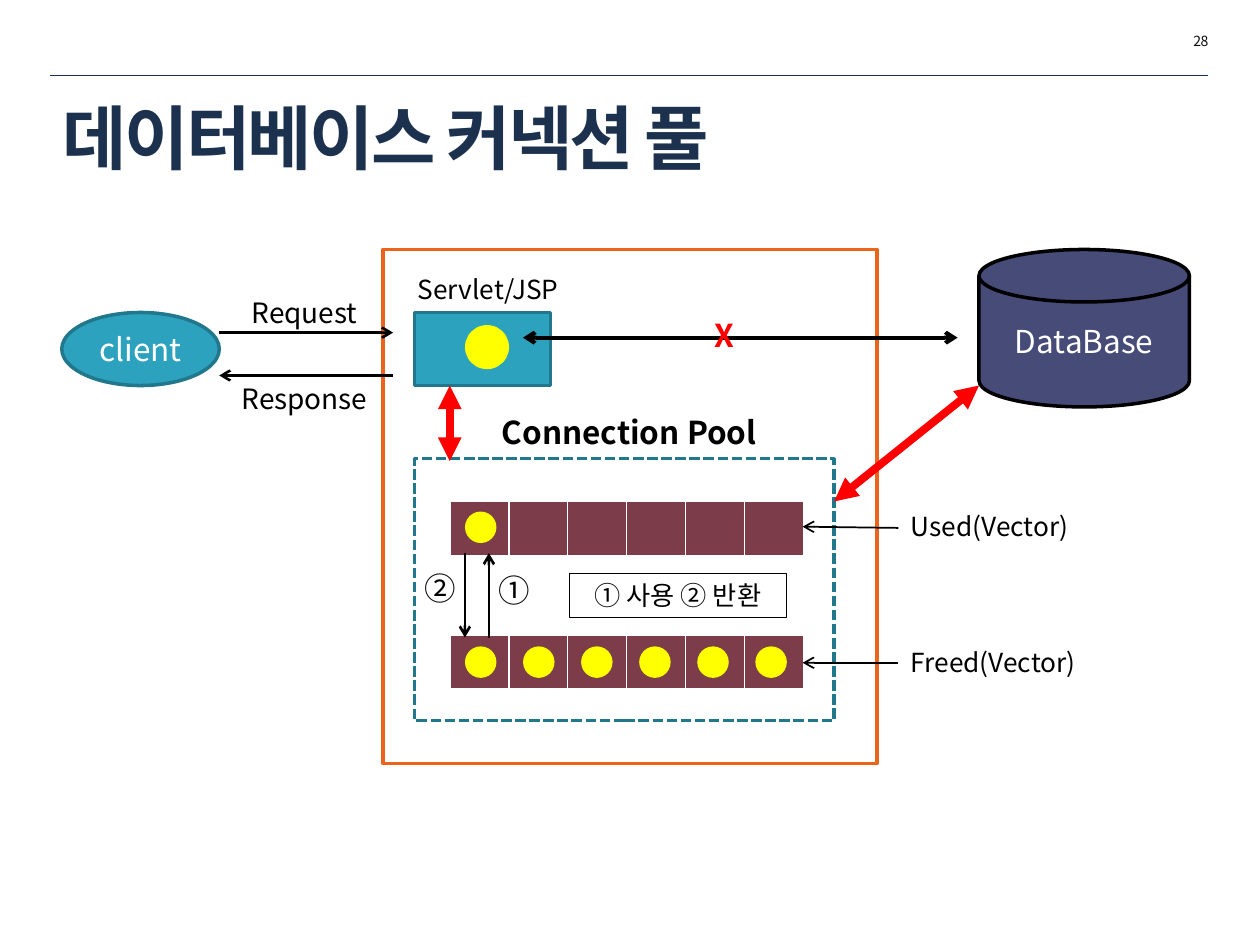
from lxml.etree import SubElement
from pptx import Presentation
from pptx.dml.color import RGBColor
from pptx.enum.dml import MSO_LINE
from pptx.enum.shapes import MSO_CONNECTOR, MSO_SHAPE
from pptx.enum.text import MSO_ANCHOR, MSO_AUTO_SIZE, PP_ALIGN
from pptx.oxml import parse_xml
from pptx.oxml.ns import nsdecls, qn
from pptx.util import Inches, Pt

FONT = "Noto Sans CJK KR"
BLACK, WHITE, RED, YELLOW = "000000", "FFFFFF", "FF0000", "FFFF00"
NAVY, TEAL, TEAL_EDGE, WINE = "1C314E", "2DA2BF", "21788D", "7D3C4A"
LEFT, CENTER, RIGHT = PP_ALIGN.LEFT, PP_ALIGN.CENTER, PP_ALIGN.RIGHT


def paint(fill, color):
    """Fill an area, a line or a font with a hex colour; None clears it."""
    if color is None:
        fill.background()
    else:
        fill.solid()
        fill.fore_color.rgb = RGBColor.from_string(color)


def write(shape, text, size=15, color=BLACK, bold=False, align=LEFT,
          anchor=MSO_ANCHOR.TOP, wrap=True, grow=True, spacing=0):
    frame = shape.text_frame
    frame.word_wrap = wrap
    frame.vertical_anchor = anchor
    frame.auto_size = MSO_AUTO_SIZE.SHAPE_TO_FIT_TEXT if grow else MSO_AUTO_SIZE.NONE
    paragraph = frame.paragraphs[0]
    paragraph.alignment = align
    run = paragraph.add_run()
    run.text = text
    run.font.size = Pt(size)
    run.font.bold = bold
    run.font.name = FONT
    paint(run.font.fill, color)
    properties = run.font._element
    SubElement(properties, qn("a:ea")).set("typeface", FONT)
    if spacing:
        properties.set("spc", str(spacing))


deck = Presentation()
deck.slide_width, deck.slide_height = Inches(10), Inches(7.5)
slide = deck.slides.add_slide(deck.slide_layouts[6])

# Grid of 100 columns by 75 rows
COL = deck.slide_width / 100
ROW = deck.slide_height / 75

# Outlined parts: server frame, servlet, database, pool, client, legend
inside = dict(size=18, color=WHITE, align=CENTER, anchor=MSO_ANCHOR.MIDDLE, grow=False)
parts = [
    (MSO_SHAPE.RECTANGLE, 30.4, 19.8, 39.2, 40.8, WHITE, "EB641B", 2, None, "", {}),
    (MSO_SHAPE.RECTANGLE, 32.9, 24.8, 10.8, 5.8, TEAL, TEAL_EDGE, 2, None, "", {}),
    (MSO_SHAPE.FLOWCHART_MAGNETIC_DISK, 77.7, 19.8, 16.7, 12.5, "474B78", BLACK, 2,
     None, "DataBase", inside),
    (MSO_SHAPE.RECTANGLE, 32.9, 36.4, 33.3, 20.8, None, TEAL_EDGE, 2,
     MSO_LINE.SQUARE_DOT, "", {}),
    (MSO_SHAPE.OVAL, 4.9, 24.8, 12.5, 5.8, TEAL, TEAL_EDGE, 2, None, "client", inside),
    (MSO_SHAPE.RECTANGLE, 45.2, 45.5, 17.2, 3.5, None, BLACK, 0.75, None,
     "① 사용 ② 반환", dict(align=CENTER)),
]
for kind, x, y, w, h, fill, edge, weight, dash, text, style in parts:
    part = slide.shapes.add_shape(kind, int(x * COL), int(y * ROW), int(w * COL), int(h * ROW))
    part.shadow.inherit = False
    paint(part.fill, fill)
    paint(part.line.fill, edge)
    part.line.width = Pt(weight)
    if dash:
        part.line.dash_style = dash
    if text:
        write(part, text, **style)

# Used and freed vectors
SLOTS, SLOT_WIDTH, SLOT_HEIGHT = 6, 4.68, 4.4
VECTOR_LEFT, USED_TOP, FREED_TOP = 35.7, 39.8, 50.4
for top in (USED_TOP, FREED_TOP):
    vector = slide.shapes.add_table(
        1, SLOTS, int(VECTOR_LEFT * COL), int(top * ROW),
        int(SLOTS * SLOT_WIDTH * COL), int(SLOT_HEIGHT * ROW)).table
    vector.first_row = vector.horz_banding = False
    for slot in vector.iter_cells():
        slot.margin_top = slot.margin_bottom = 0
        paint(slot.fill, WINE)
        for position, (side, weight) in enumerate(zip("LRTB", (1, 1, 1, 3))):
            slot._tc.get_or_add_tcPr().insert(position, parse_xml(
                f'<a:ln{side} {nsdecls("a")} w="{Pt(weight)}"><a:solidFill>'
                f'<a:srgbClr val="{WHITE}"/></a:solidFill></a:ln{side}>'))

# Connections: one in the servlet, one used, six freed
connections = [(36.9, 25.8, 3.5), (36.9, 40.6, 2.5)]
connections += [(36.9 + 4.61 * slot, 51.3, 2.5) for slot in range(SLOTS)]
for x, y, size in connections:
    connection = slide.shapes.add_shape(
        MSO_SHAPE.OVAL, int(x * COL), int(y * ROW), int(size * COL), int(size * ROW))
    connection.shadow.inherit = False
    paint(connection.fill, YELLOW)
    paint(connection.line.fill, None)

# Rule under the page number, then the arrows
one_way = {"tailEnd": "arrow"}
both_ways = {"headEnd": "arrow", "tailEnd": "arrow"}
solid_both_ways = {"headEnd": "triangle", "tailEnd": "triangle"}
lines = [
    (4, 6, 95.9, 6, NAVY, 0.25, {}),
    (17.4, 26.4, 31.2, 26.4, BLACK, 1.5, one_way),
    (31.2, 29.8, 17.4, 29.8, BLACK, 1.5, one_way),
    (41.5, 26.8, 76, 26.8, BLACK, 2.25, both_ways),
    (38.8, 50.6, 38.8, 43.9, BLACK, 1.5, one_way),
    (36.9, 43.9, 36.9, 50.6, BLACK, 1.5, one_way),
    (71.3, 41.9, 63.7, 41.8, BLACK, 1, one_way),
    (71.3, 52.6, 63.7, 52.6, BLACK, 1, one_way),
    (35.7, 30.6, 35.7, 36.6, RED, 4.5, solid_both_ways),
    (66.2, 39.8, 77.7, 30.6, RED, 4.5, solid_both_ways),
]
for x1, y1, x2, y2, color, weight, ends in lines:
    arrow = slide.shapes.add_connector(
        MSO_CONNECTOR.STRAIGHT, int(x1 * COL), int(y1 * ROW), int(x2 * COL), int(y2 * ROW))
    paint(arrow.line.fill, color)
    arrow.line.width = Pt(weight)
    for end, head in ends.items():
        SubElement(arrow.line._get_or_add_ln(), qn(f"a:{end}")).set("type", head)
    SubElement(arrow._element.spPr, qn("a:effectLst"))

# Title, page number and labels
labels = [
    (4, 6.2, 91.8, 9.3, "데이터베이스 커넥션 풀",
     dict(size=40, color=NAVY, bold=True, anchor=MSO_ANCHOR.MIDDLE, grow=False, spacing=-150)),
    (79.6, 2.1, 17.3, 2.4, "28", dict(size=8, color="0D0D0D", align=RIGHT, spacing=-30)),
    (32.1, 21.2, 13.3, 3.5, "Servlet/JSP", dict(align=CENTER)),
    (30.3, 32.3, 39.3, 4.4, "Connection Pool", dict(size=18, bold=True, align=CENTER)),
    (19, 23, 10.5, 3.7, "Request", dict(size=16, wrap=False)),
    (18.2, 29.8, 12.3, 3.7, "Response", dict(size=16, wrap=False)),
    (38.6, 44.8, 5.2, 4.4, "①", dict(size=18)),
    (32.7, 44.7, 5.2, 4.4, "②", dict(size=18)),
    (71.3, 40, 15.8, 3.5, "Used(Vector)", {}),
    (71.3, 50.8, 15.8, 3.5, "Freed(Vector)", {}),
    (55.7, 24.6, 4.2, 4.4, "X", dict(size=18, color=RED, bold=True)),
]
for x, y, w, h, text, style in labels:
    label = slide.shapes.add_textbox(int(x * COL), int(y * ROW), int(w * COL), int(h * ROW))
    write(label, text, **style)

deck.save("out.pptx")
